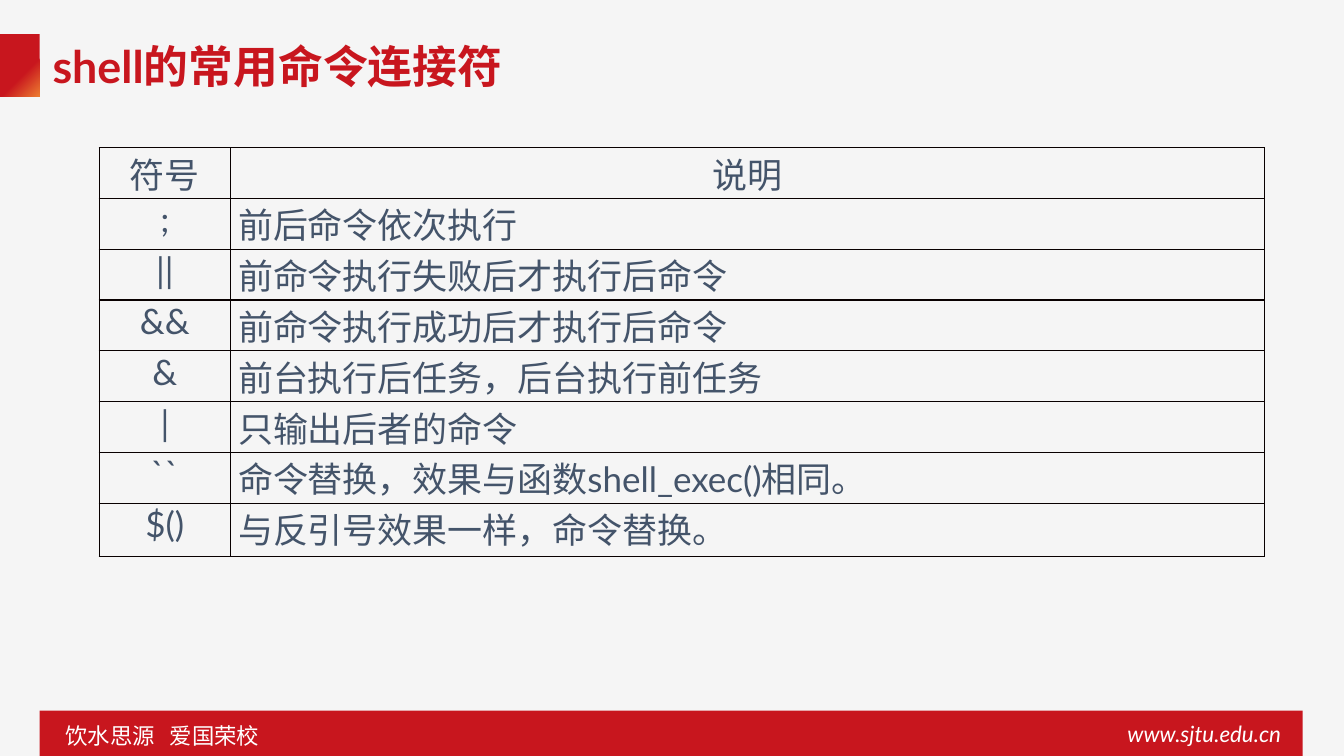
from lxml import etree
from pptx import Presentation
from pptx.dml.color import RGBColor
from pptx.enum.shapes import MSO_SHAPE
from pptx.enum.text import MSO_ANCHOR, PP_ALIGN
from pptx.oxml.ns import qn
from pptx.util import Cm, Pt

RECTANGLE = MSO_SHAPE.RECTANGLE
TOP, MIDDLE = MSO_ANCHOR.TOP, MSO_ANCHOR.MIDDLE
LEFT, CENTER = PP_ALIGN.LEFT, PP_ALIGN.CENTER

RED = RGBColor(0xC8, 0x16, 0x1E)
ORANGE = RGBColor(0xED, 0x7D, 0x31)
WHITE = RGBColor(0xFF, 0xFF, 0xFF)
SLATE = RGBColor(0x44, 0x54, 0x6A)
BORDER = RGBColor(0x08, 0x00, 0x00)
PAPER = RGBColor(0xF5, 0xF5, 0xF5)
FONT = "Lato"

TITLE = "shell的常用命令连接符"
MOTTO = "饮水思源\t爱国荣校"
WEBSITE = "www.sjtu.edu.cn"
OPERATORS = [
    ("符号", "说明"),
    (";", "前后命令依次执行"),
    ("||", "前命令执行失败后才执行后命令"),
    ("&&", "前命令执行成功后才执行后命令"),
    ("&", "前台执行后任务，后台执行前任务"),
    ("|", "只输出后者的命令"),
    ("``", "命令替换，效果与函数shell_exec()相同。"),
    ("$()", "与反引号效果一样，命令替换。"),
]
COLUMN_WIDTHS = (Cm(3.31), Cm(26.05))
ROW_HEIGHT = Cm(1.28)
LAST_ROW_HEIGHT = Cm(1.35)
MOTTO_TAB = Cm(2.63)


def write(frame, text, size, color, align=LEFT, bold=False, italic=False):
    paragraph = frame.paragraphs[0]
    paragraph.alignment = align
    run = paragraph.add_run()
    run.text = text
    font = run.font
    font.name, font.size = FONT, Pt(size)
    font.bold, font.italic = bold, italic
    font.color.rgb = color
    return paragraph


def add_bar(slide, left, top, width, height):
    bar = slide.shapes.add_shape(RECTANGLE, left, top, width, height)
    bar.shadow.inherit = False
    bar.line.fill.background()
    return bar


def add_footer(slide, left, top, width, text, align, italic=False):
    frame = slide.shapes.add_textbox(left, top, width, Cm(0.94)).text_frame
    frame.word_wrap = True
    frame.vertical_anchor = MIDDLE
    return frame, write(frame, text, 16, WHITE, align, italic=italic)


def add_borders(cell):
    properties = cell._tc.get_or_add_tcPr()
    for side in ("a:lnL", "a:lnR", "a:lnT", "a:lnB"):
        line = etree.SubElement(properties, qn(side), w=str(Pt(1)))
        fill = etree.SubElement(line, qn("a:solidFill"))
        etree.SubElement(fill, qn("a:srgbClr"), val=str(BORDER))


def add_operators(slide):
    height = ROW_HEIGHT * (len(OPERATORS) - 1) + LAST_ROW_HEIGHT
    table = slide.shapes.add_table(
        len(OPERATORS), len(COLUMN_WIDTHS), Cm(2.5), Cm(3.72),
        sum(COLUMN_WIDTHS), height).table
    table.horz_banding = False
    table.first_row = False
    for column, width in zip(table.columns, COLUMN_WIDTHS):
        column.width = width
    for row in table.rows:
        row.height = ROW_HEIGHT
    table.rows[len(OPERATORS) - 1].height = LAST_ROW_HEIGHT
    for r, entry in enumerate(OPERATORS):
        for c, text in enumerate(entry):
            cell = table.cell(r, c)
            cell.margin_left = cell.margin_right = Cm(0.19)
            cell.margin_top = cell.margin_bottom = 0
            cell.vertical_anchor = TOP
            add_borders(cell)
            cell.fill.background()
            align = CENTER if r == 0 or c == 0 else LEFT
            write(cell.text_frame, text, 25, SLATE, align)


def main():
    deck = Presentation()
    deck.slide_width, deck.slide_height = Cm(33.87), Cm(19.05)
    slide = deck.slides.add_slide(deck.slide_layouts[5])
    slide.background.fill.solid()
    slide.background.fill.fore_color.rgb = PAPER

    accent = add_bar(slide, 0, Cm(0.86), Cm(1), Cm(1.58))
    accent.fill.gradient()
    accent.fill.gradient_angle = 315
    stops = ((0.62, RED), (1, ORANGE))
    for stop, (position, color) in zip(accent.fill.gradient_stops, stops):
        stop.position = position
        stop.color.rgb = color

    footer = add_bar(slide, Cm(1), Cm(17.91), Cm(31.83), Cm(1.14))
    footer.fill.solid()
    footer.fill.fore_color.rgb = RED
    add_footer(slide, Cm(28.1), Cm(18.01), Cm(4.5), WEBSITE, CENTER, italic=True)
    motto_frame, motto = add_footer(slide, Cm(1), Cm(18.06), Cm(6.17), MOTTO, LEFT)
    motto_frame.margin_left = Cm(0.65)
    tabs = etree.SubElement(motto._p.get_or_add_pPr(), qn("a:tabLst"))
    etree.SubElement(tabs, qn("a:tab"), pos=str(MOTTO_TAB), algn="l")

    title = slide.shapes.title
    title.left, title.top = Cm(1.07), Cm(0.74)
    title.width, title.height = Cm(24.84), Cm(1.83)
    title.text_frame.vertical_anchor = MIDDLE
    write(title.text_frame, TITLE, 32, RED, bold=True)

    add_operators(slide)
    deck.save("out.pptx")


if __name__ == "__main__":
    main()
